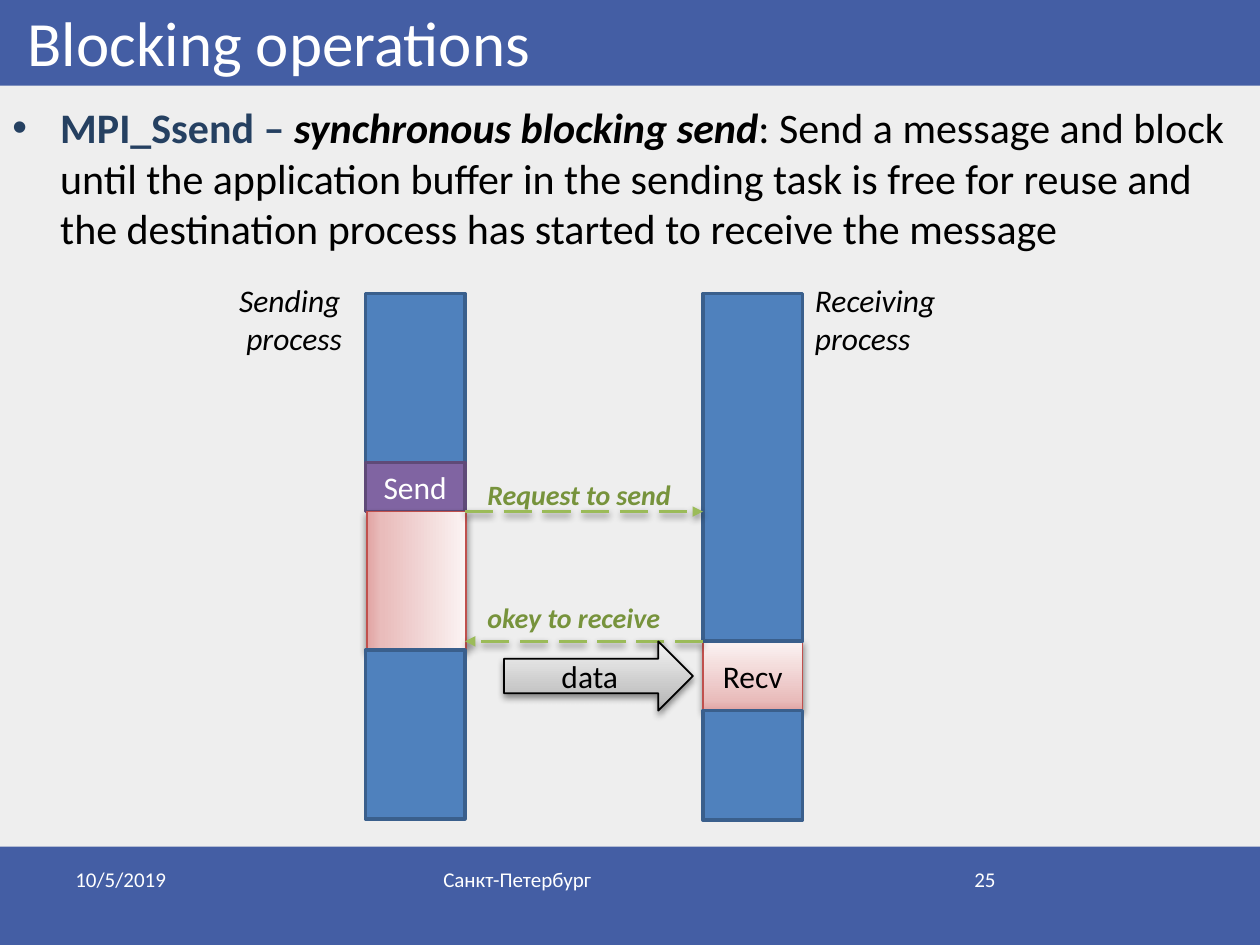
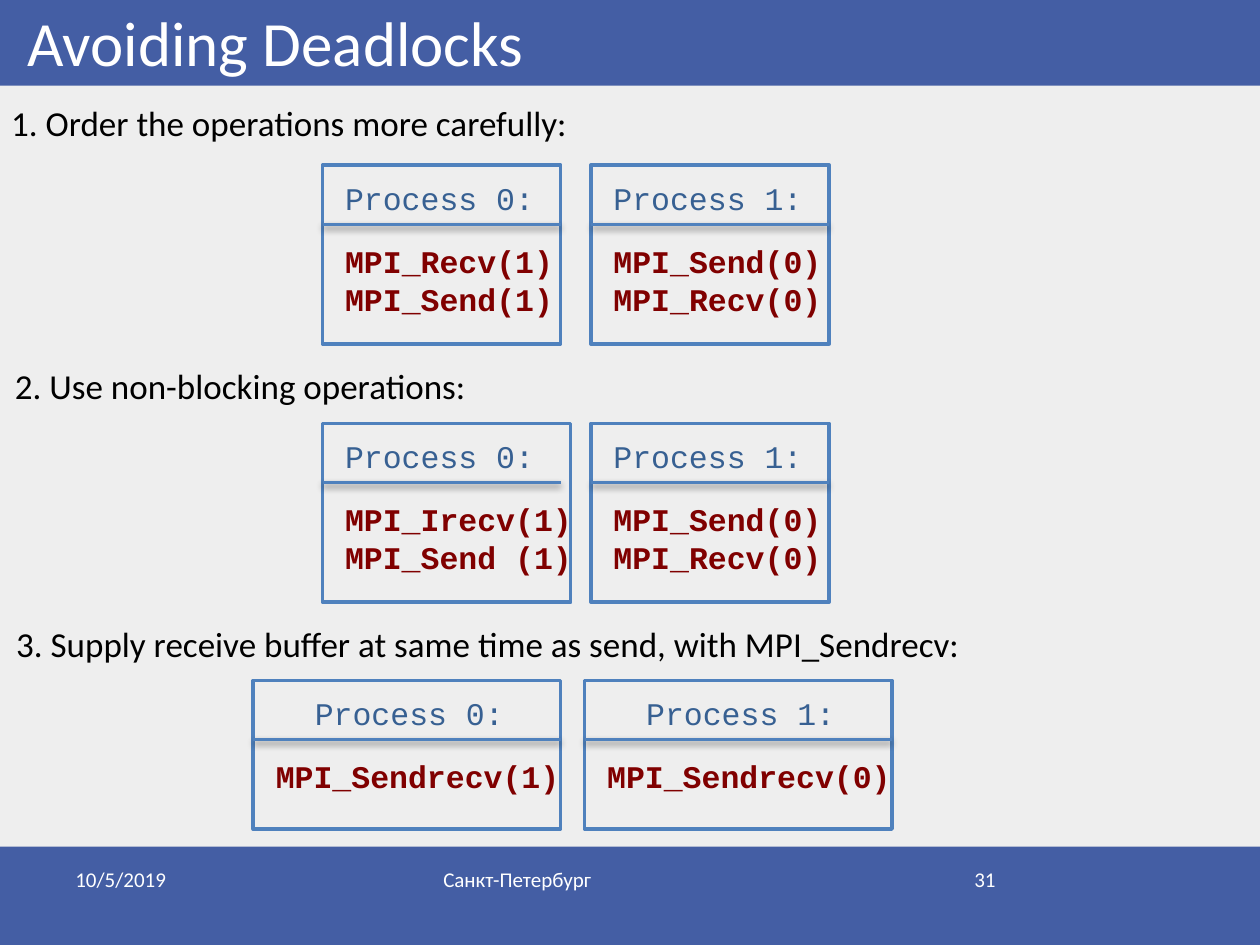
from dataclasses import dataclass
from lxml.etree import SubElement
from pptx import Presentation
from pptx.dml.color import RGBColor
from pptx.enum.dml import MSO_LINE
from pptx.enum.shapes import MSO_CONNECTOR, MSO_SHAPE
from pptx.enum.text import MSO_ANCHOR, MSO_AUTO_SIZE, PP_ALIGN
from pptx.oxml.ns import qn
from pptx.util import Inches, Pt


@dataclass(frozen=True)
class Theme:
    back: str = "EEEEEE"
    band: str = "445EA4"
    white: str = "FFFFFF"
    black: str = "000000"
    navy: str = "254061"
    blue: str = "4F81BD"
    edge: str = "3A5F8C"
    grape: str = "8064A2"
    plum: str = "5F4A78"
    red: str = "C0504D"
    green: str = "9BBB59"
    moss: str = "77933C"
    steel: str = "376092"
    wine: str = "800000"
    rose: tuple = ((0, "E1A3A2"), (15, "E9BCBB"), (100, "FBF3F3"))
    gray: tuple = ((0, "A2A2A2"), (15, "BDBDBD"), (100, "F4F4F4"))
    sans: str = "Calibri"
    mono: str = "Courier New"
    title: int = 36
    body: int = 24
    head: int = 20
    label: int = 18
    note: int = 16
    foot: int = 12


def rgb(code):
    return RGBColor.from_string(code)


def write(frame, text, size=18, color="000000", font="Calibri", bold=False,
          slant=False, align=PP_ALIGN.LEFT, anchor=MSO_ANCHOR.TOP):
    frame.vertical_anchor = anchor
    base = dict(size=size, color=color, bold=bold, slant=slant)
    for i, line in enumerate([text] if isinstance(text, str) else text):
        para = frame.paragraphs[0] if i == 0 else frame.add_paragraph()
        para.alignment = align
        for words, own in [(line, {})] if isinstance(line, str) else line:
            look = {**base, **own}
            run = para.add_run()
            run.text = words
            run.font.name = font
            run.font.size = Pt(look["size"])
            run.font.color.rgb = rgb(look["color"])
            run.font.bold = look["bold"]
            run.font.italic = look["slant"]


def shade(effects):
    glow = SubElement(effects, qn("a:outerShdw"), blurRad=str(Pt(4)),
                      dist=str(Pt(2)), dir="5400000", rotWithShape="0")
    tint = SubElement(glow, qn("a:srgbClr"), val="000000")
    SubElement(tint, qn("a:alpha"), val="43000")


class Deck:
    def __init__(self, theme):
        self.theme = theme
        self.file = Presentation()
        self.file.slide_width = Inches(10)
        self.file.slide_height = Inches(7.5)
        self.slide = None

    def page(self, title, number):
        t = self.theme
        self.slide = self.file.slides.add_slide(self.file.slide_layouts[6])
        fill = self.slide.background.fill
        fill.solid()
        fill.fore_color.rgb = rgb(t.back)
        self.box(0, 6.72, 10, 0.78, fill=t.band)
        self.box(0, 0, 10, 0.68, fill=t.band)
        self.text(0.12, -0.21, 9.88, 0.89, title, size=t.title,
                  color=t.white, anchor=MSO_ANCHOR.BOTTOM)
        for left, wide, words, align in (
                (0.5, 2.33, "10/5/2019", PP_ALIGN.LEFT),
                (7.17, 0.83, str(number), PP_ALIGN.RIGHT),
                (3.42, 3.17, "Санкт-Петербург", PP_ALIGN.LEFT)):
            self.text(left, 6.83, wide, 0.52, words, size=t.foot,
                      color=t.white, align=align)

    def text(self, left, top, wide, high, words, wrap=True, **look):
        item = self.slide.shapes.add_textbox(
            Inches(left), Inches(top), Inches(wide), Inches(high))
        frame = item.text_frame
        frame.word_wrap = wrap
        if not wrap:
            frame.auto_size = MSO_AUTO_SIZE.SHAPE_TO_FIT_TEXT
        write(frame, words, **look)
        return item

    def bullet(self, left, top, wide, high, line, **look):
        item = self.text(left, top, wide, high, [line], **look)
        prop = item.text_frame.paragraphs[0]._p.get_or_add_pPr()
        prop.set("marL", str(Inches(0.38)))
        prop.set("indent", str(Inches(-0.38)))
        SubElement(prop, qn("a:buFont"), typeface="Arial")
        SubElement(prop, qn("a:buChar"), char="•")

    def box(self, left, top, wide, high, fill=None, line=None, width=2,
            kind=MSO_SHAPE.RECTANGLE, angle=90, shadow=False, words="",
            color="000000"):
        item = self.slide.shapes.add_shape(
            kind, Inches(left), Inches(top), Inches(wide), Inches(high))
        if fill is None:
            item.fill.background()
        elif isinstance(fill, str):
            item.fill.solid()
            item.fill.fore_color.rgb = rgb(fill)
        else:
            self.blend(item, fill, angle)
        if line:
            item.line.color.rgb = rgb(line)
            item.line.width = Pt(width)
        else:
            item.line.fill.background()
        item.shadow.inherit = False
        if shadow:
            shade(item._element.spPr.find(qn("a:effectLst")))
        if words:
            write(item.text_frame, words, size=self.theme.label, color=color,
                  align=PP_ALIGN.CENTER, anchor=MSO_ANCHOR.MIDDLE)

    def blend(self, item, stops, angle):
        item.fill.gradient()
        item.fill.gradient_angle = angle
        stack = item._element.spPr.find(qn("a:gradFill")).find(qn("a:gsLst"))
        for old in list(stack):
            stack.remove(old)
        for place, code in stops:
            stop = SubElement(stack, qn("a:gs"), pos=str(place * 1000))
            SubElement(stop, qn("a:srgbClr"), val=code)

    def line(self, start, end, top, color, arrow=False):
        item = self.slide.shapes.add_connector(
            MSO_CONNECTOR.STRAIGHT, Inches(start), Inches(top),
            Inches(end), Inches(top))
        item.line.color.rgb = rgb(color)
        item.line.width = Pt(2)
        if arrow:
            item.line.dash_style = MSO_LINE.LONG_DASH
            SubElement(item.line._ln, qn("a:tailEnd"), type="triangle")
        shade(SubElement(item._element.spPr, qn("a:effectLst")))

    def code(self, left, top, lines, **look):
        wide = 0.23 + 0.15 * max(map(len, lines))
        self.text(left, top, wide, 0.09 + 0.31 * len(lines), lines,
                  wrap=False, size=self.theme.label, font=self.theme.mono,
                  **look)

    def panel(self, left, top, wide, high, rule, inset, name, calls):
        t = self.theme
        self.box(left, top, wide, high, line=t.blue)
        self.code(left + inset, top + 0.06, [name], color=t.steel)
        self.code(left + 0.08, top + 0.56, calls, color=t.wine, bold=True)
        self.line(left, left + rule, top + 0.47, t.blue)


def block(deck):
    t = deck.theme
    send, recv, wide = 2.9, 5.58, 0.79
    ask, reply = 4.06, 5.09
    deck.page("Blocking operations", 25)
    deck.bullet(0, 0.76, 10, 2.12, [
        ("MPI_Ssend – ", dict(color=t.navy, bold=True)),
        ("synchronous blocking send", dict(bold=True, slant=True)),
        (": Send a message and block until the application buffer in the "
         "sending task is free for reuse and the destination process has "
         "started to receive the message", {})], size=t.body)
    deck.box(recv, reply, wide, 0.55, fill=t.rose, line=t.red, width=1,
             shadow=True, words="Recv")
    for left, span, words in ((1.8, 1.09, ["Sending", " process"]),
                              (6.37, 1.23, ["Receiving", "process"])):
        deck.text(left, 2.18, span, 0.71, words, wrap=False, size=t.label,
                  slant=True)
    bar = dict(fill=t.blue, line=t.edge)
    deck.box(send, 2.33, wide, 1.34, **bar)
    deck.box(send, 3.67, wide, 0.39, fill=t.grape, line=t.plum, words="Send",
             color=t.white)
    deck.box(recv, 2.33, wide, 2.76, **bar)
    note = dict(wrap=False, size=t.note, color=t.moss, bold=True, slant=True)
    deck.text(3.77, 3.74, 1.76, 0.37, "Request to send", **note)
    deck.box(send + 0.01, ask, wide, 1.1, fill=t.rose, line=t.red, width=1,
             angle=0, shadow=True)
    deck.line(recv, send + wide, reply, t.green, arrow=True)
    deck.line(send + wide, recv, ask, t.green, arrow=True)
    deck.text(3.77, 4.72, 1.66, 0.37, "okey to receive", **note)
    deck.box(send, 5.16, wide, 1.34, **bar)
    deck.box(4, reply, 1.5, 0.55, fill=t.gray, line=t.black, width=1,
             kind=MSO_SHAPE.RIGHT_ARROW, shadow=True, words="data")
    deck.box(recv, 5.64, wide, 0.87, **bar)


def avoid(deck):
    deck.page("Avoiding Deadlocks", 31)
    reply = ["MPI_Send(0)", "MPI_Recv(0)"]
    rows = (
        (-0.01, 0.76, "1. Order the operations more carefully:",
         1.31, 1.42, 1.89, 0.08,
         ((2.56, 1.89, ["MPI_Recv(1)", "MPI_Send(1)"]), (4.69, 1.89, reply))),
        (0.02, 2.84, "2. Use non-blocking operations:",
         3.36, 1.42, 1.89, 0.08,
         ((2.56, 1.97, ["MPI_Irecv(1)", "MPI_Send (1)"]),
          (4.69, 1.89, reply))),
        (0.03, 4.89,
         "3. Supply receive buffer at same time as send, with MPI_Sendrecv:",
         5.4, 1.18, 2.44, 0.39,
         ((2.01, 2.44, ["MPI_Sendrecv(1)"]),
          (4.64, 2.44, ["MPI_Sendrecv(0)"]))))
    for x, y, head, top, high, rule, inset, pair in rows:
        deck.text(x, y, 10.01, 0.44, head, size=deck.theme.head)
        for rank, (left, wide, calls) in enumerate(pair):
            deck.panel(left, top, wide, high, rule, inset,
                       f"Process {rank}:", calls)


def main():
    deck = Deck(Theme())
    block(deck)
    avoid(deck)
    deck.file.save("out.pptx")


if __name__ == "__main__":
    main()
